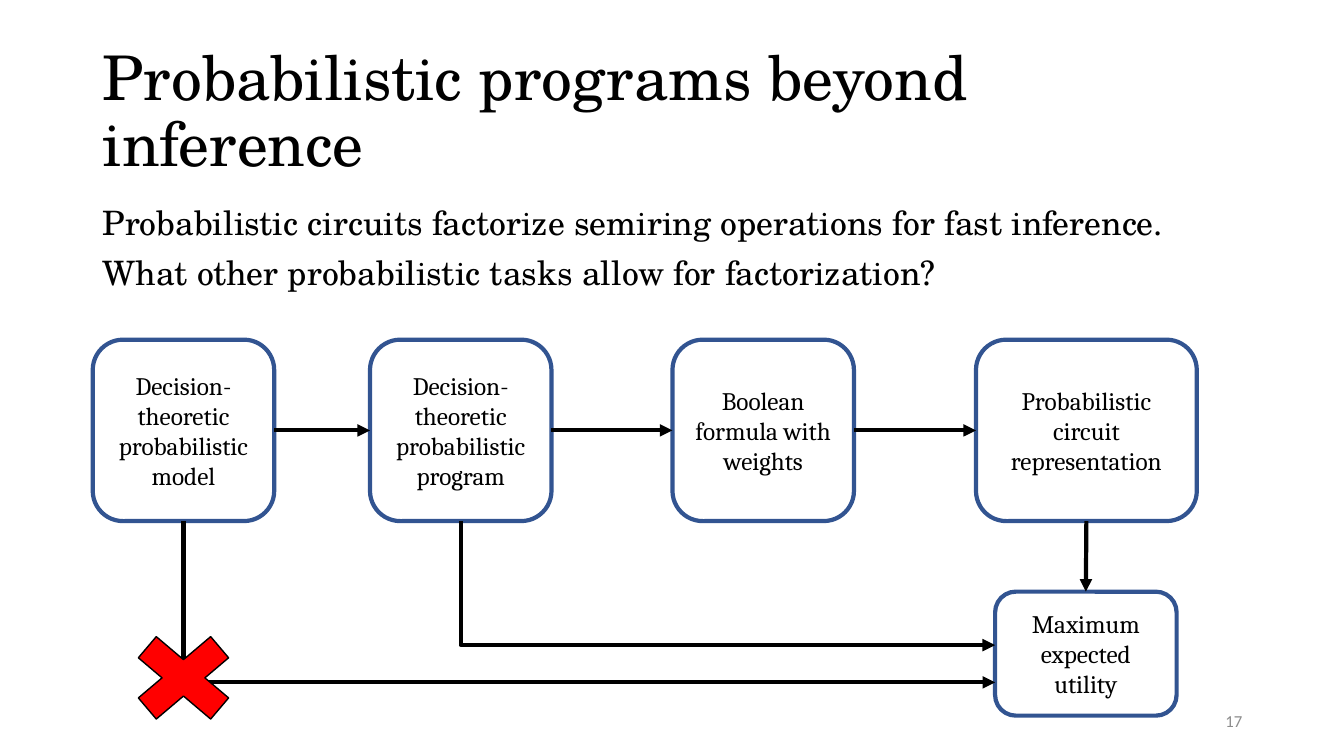
from dataclasses import dataclass

from lxml import etree
from pptx import Presentation
from pptx.dml.color import RGBColor
from pptx.enum.shapes import MSO_CONNECTOR, MSO_SHAPE
from pptx.enum.text import MSO_ANCHOR, MSO_AUTO_SIZE, PP_ALIGN
from pptx.oxml.ns import qn
from pptx.util import Inches, Pt

STRAIGHT = MSO_CONNECTOR.STRAIGHT
ELBOW = MSO_CONNECTOR.ELBOW
ROUNDED = MSO_SHAPE.ROUNDED_RECTANGLE
CROSS = MSO_SHAPE.MATH_MULTIPLY
LEFT, CENTER, RIGHT = PP_ALIGN.LEFT, PP_ALIGN.CENTER, PP_ALIGN.RIGHT
TOP, MIDDLE = MSO_ANCHOR.TOP, MSO_ANCHOR.MIDDLE

HEADING_FONT = "TeX Gyre Schola"
BOX_FONT = "Cambria"
NUMBER_FONT = "Calibri"
BLACK, BLUE, RED, GRAY = "000000", "325491", "FF0000", "8C8C8C"
QUARTER_TURN_BACK = "16200000"


@dataclass
class Box:
    text: str
    left: float
    top: float = 3.37
    width: float = 1.8
    height: float = 1.8

    @property
    def right(self) -> float:
        return self.left + self.width

    @property
    def bottom(self) -> float:
        return self.top + self.height

    @property
    def center_x(self) -> float:
        return self.left + self.width / 2

    @property
    def center_y(self) -> float:
        return self.top + self.height / 2


MODEL = Box("Decision-theoretic probabilistic model", 0.92)
PROGRAM = Box("Decision-theoretic probabilistic program", 3.67)
FORMULA = Box("Boolean formula with weights", 6.67)
CIRCUIT = Box("Probabilistic circuit representation", 9.68, width=2.19)
UTILITY = Box("Maximum expected utility", 9.87, top=5.87, height=1.23)
PIPELINE = [MODEL, PROGRAM, FORMULA, CIRCUIT]


def color(value: str) -> RGBColor:
    return RGBColor.from_string(value)


def write(frame, lines: list[str], font: str, size: int, align=LEFT, anchor=MIDDLE,
          font_color: str = BLACK, spacing: float = 1.0, gap: int = 0) -> None:
    frame.word_wrap = True
    frame.auto_size = MSO_AUTO_SIZE.NONE
    frame.vertical_anchor = anchor
    for index, line in enumerate(lines):
        paragraph = frame.add_paragraph() if index else frame.paragraphs[0]
        paragraph.text = line
        paragraph.alignment = align
        paragraph.line_spacing = spacing
        paragraph.space_before = Pt(gap if index else 0)
        paragraph.font.name = font
        paragraph.font.size = Pt(size)
        paragraph.font.color.rgb = color(font_color)


def draw_box(slide, box: Box) -> None:
    shape = slide.shapes.add_shape(ROUNDED, Inches(box.left), Inches(box.top),
                                   Inches(box.width), Inches(box.height))
    shape.shadow.inherit = False
    shape.fill.background()
    shape.line.color.rgb = color(BLUE)
    shape.line.width = Pt(3)
    write(shape.text_frame, [box.text], BOX_FONT, 18, CENTER)


def draw_arrow(slide, kind, x1: float, y1: float, x2: float, y2: float):
    arrow = slide.shapes.add_connector(kind, Inches(x1), Inches(y1), Inches(x2), Inches(y2))
    arrow.line.color.rgb = color(BLACK)
    arrow.line.width = Pt(3)
    properties = arrow._element.spPr
    etree.SubElement(properties.find(qn("a:ln")), qn("a:tailEnd"), type="triangle")
    etree.SubElement(properties, qn("a:effectLst"))
    return arrow


def draw_elbow(slide, start: Box, end: Box, end_y: float) -> None:
    """Go down from the start box, then right to the end box."""
    x1, y1, x2 = start.center_x, start.bottom, end.left
    middle_x, middle_y = (x1 + x2) / 2, (y1 + end_y) / 2
    half_run, half_drop = (x2 - x1) / 2, (end_y - y1) / 2
    # The single-bend connector is laid out on its side and then rotated.
    elbow = draw_arrow(slide, ELBOW, middle_x + half_drop, middle_y - half_run,
                       middle_x - half_drop, middle_y + half_run)
    properties = elbow._element.spPr
    properties.find(qn("a:xfrm")).set("rot", QUARTER_TURN_BACK)
    properties.find(qn("a:prstGeom")).set("prst", "bentConnector2")


def main() -> None:
    presentation = Presentation()
    presentation.slide_width = Inches(13.33)
    presentation.slide_height = Inches(7.5)
    slide = presentation.slides.add_slide(presentation.slide_layouts[5])

    # Title and introduction
    title = slide.shapes.title
    title.left, title.top = Inches(0.92), Inches(0.4)
    title.width, title.height = Inches(11.5), Inches(1.45)
    write(title.text_frame, ["Probabilistic programs beyond inference"],
          HEADING_FONT, 44, spacing=0.9)
    introduction = slide.shapes.add_textbox(Inches(0.92), Inches(2), Inches(11.5), Inches(4.76))
    write(introduction.text_frame,
          ["Probabilistic circuits factorize semiring operations for fast inference.",
           "What other probabilistic tasks allow for factorization?"],
          HEADING_FONT, 24, anchor=TOP, spacing=0.9, gap=10)

    # Boxes
    for box in [*PIPELINE, UTILITY]:
        draw_box(slide, box)

    # Arrows
    for start, end in zip(PIPELINE, PIPELINE[1:]):
        draw_arrow(slide, STRAIGHT, start.right, start.center_y, end.left, end.center_y)
    draw_arrow(slide, STRAIGHT, CIRCUIT.center_x, CIRCUIT.bottom, UTILITY.center_x, UTILITY.top)
    draw_elbow(slide, PROGRAM, UTILITY, 6.4)
    draw_elbow(slide, MODEL, UTILITY, 6.77)

    # Cross over the blocked route
    cross = slide.shapes.add_shape(CROSS, Inches(1.13), Inches(6.14), Inches(1.38), Inches(1.17))
    cross.shadow.inherit = False
    cross.fill.solid()
    cross.fill.fore_color.rgb = color(RED)
    cross.line.color.rgb = color(BLACK)
    cross.line.width = Pt(1)

    # Slide number
    number = slide.shapes.add_textbox(Inches(9.42), Inches(6.95), Inches(3), Inches(0.4))
    write(number.text_frame, ["17"], NUMBER_FONT, 12, RIGHT, font_color=GRAY)

    presentation.save("out.pptx")


if __name__ == "__main__":
    main()
